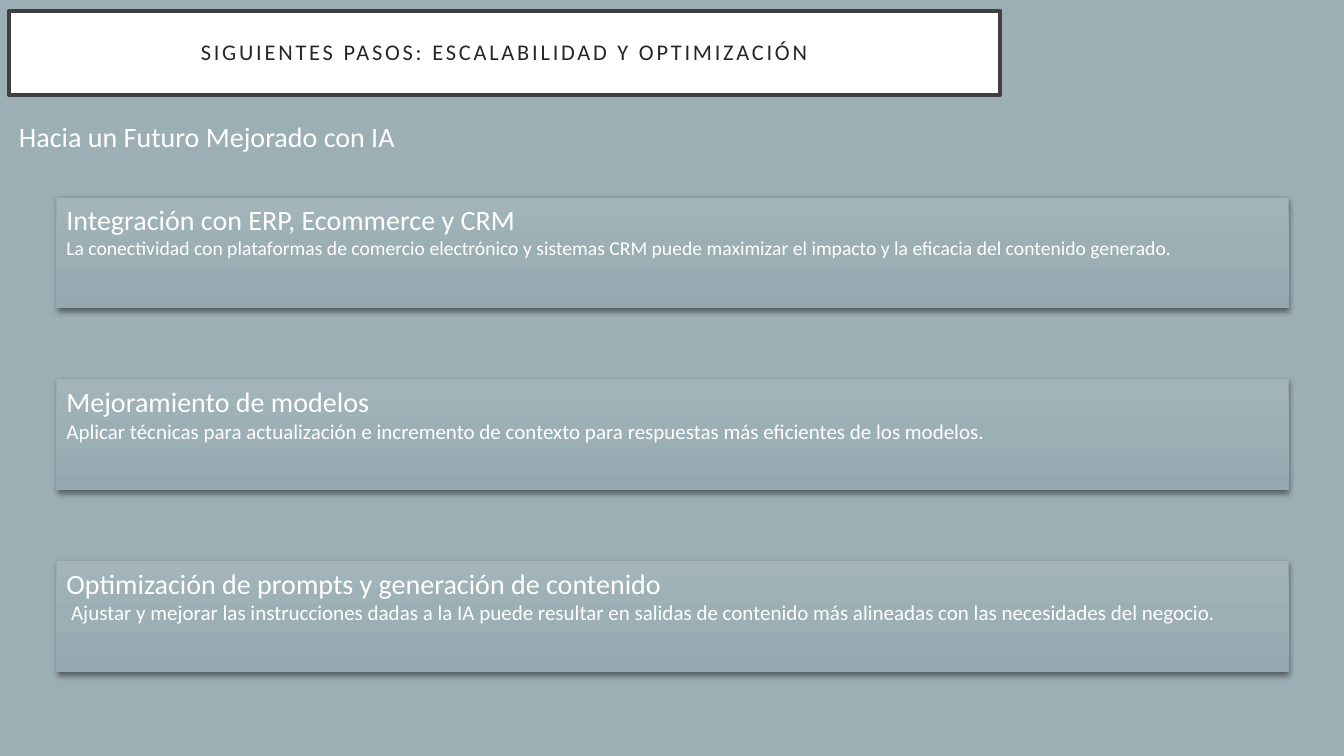
from dataclasses import dataclass

from lxml import etree
from pptx import Presentation
from pptx.dml.color import RGBColor
from pptx.enum.shapes import MSO_SHAPE
from pptx.enum.text import MSO_ANCHOR, PP_ALIGN
from pptx.oxml import parse_xml
from pptx.oxml.ns import nsdecls, qn
from pptx.shapes.autoshape import Shape
from pptx.slide import Slide
from pptx.text.text import TextFrame, _Paragraph, _Run
from pptx.util import Inches, Pt

RECTANGLE = MSO_SHAPE.RECTANGLE
TOP, MIDDLE = MSO_ANCHOR.TOP, MSO_ANCHOR.MIDDLE
LEFT, CENTER = PP_ALIGN.LEFT, PP_ALIGN.CENTER


@dataclass(frozen=True)
class Theme:
    font: str = "Calibri"
    background: str = "9BAFB5"
    white: str = "FFFFFF"
    title_text: str = "262626"
    title_border: str = "404040"
    step_gradient: tuple[str, ...] = ("A3B5BB", "9BAFB5", "93A9AF")
    shadow: str = "000000"
    title_size: float = 16
    heading_size: float = 20


@dataclass(frozen=True)
class Step:
    heading: str
    detail: str
    detail_size: float


THEME = Theme()
STEPS = (
    Step(
        "Integración con ERP, Ecommerce y CRM",
        "La conectividad con plataformas de comercio electrónico y sistemas CRM "
        "puede maximizar el impacto y la eficacia del contenido generado.",
        14,
    ),
    Step(
        "Mejoramiento de modelos",
        "Aplicar técnicas para actualización e incremento de contexto para "
        "respuestas más eficientes de los modelos.",
        15,
    ),
    Step(
        "Optimización de prompts y generación de contenido",
        " Ajustar y mejorar las instrucciones dadas a la IA puede resultar en "
        "salidas de contenido más alineadas con las necesidades del negocio.",
        15,
    ),
)
STEP_LEFT, STEP_WIDTH, STEP_HEIGHT = 0.56, 12.22, 1.1
FIRST_STEP_TOP, STEP_PITCH = 1.96, 1.805


def add_run(paragraph: _Paragraph, text: str, size: float, color: str) -> _Run:
    run = paragraph.add_run()
    run.text = text
    run.font.name = THEME.font
    run.font.size = Pt(size)
    run.font.color.rgb = RGBColor.from_string(color)
    return run


def start_paragraph(frame: TextFrame) -> _Paragraph:
    """Set up a wrapped, top-left frame and return its first paragraph."""
    frame.word_wrap = True
    frame.vertical_anchor = TOP
    paragraph = frame.paragraphs[0]
    paragraph.alignment = LEFT
    paragraph.space_before = Pt(10)
    return paragraph


def add_title(slide: Slide) -> None:
    banner = slide.shapes.add_shape(
        RECTANGLE, Inches(0.09), Inches(0.11), Inches(9.83), Inches(0.83)
    )
    banner.shadow.inherit = False
    banner.fill.solid()
    banner.fill.fore_color.rgb = RGBColor.from_string(THEME.white)
    banner.line.color.rgb = RGBColor.from_string(THEME.title_border)
    banner.line.width = Pt(3)

    frame = banner.text_frame
    frame.word_wrap = True
    frame.vertical_anchor = MIDDLE
    frame.margin_left = frame.margin_right = Inches(0.3)
    frame.margin_top = frame.margin_bottom = Inches(0.2)
    paragraph = frame.paragraphs[0]
    paragraph.alignment = CENTER
    paragraph.line_spacing = 0.9
    title = add_run(
        paragraph,
        "SIGUIENTES PASOS: ESCALABILIDAD Y OPTIMIZACIÓN",
        THEME.title_size,
        THEME.title_text,
    )
    title.font._element.set("spc", "200")


def add_subtitle(slide: Slide) -> None:
    subtitle = slide.shapes.add_textbox(
        Inches(0.09), Inches(1.14), Inches(7.44), Inches(0.53)
    )
    paragraph = start_paragraph(subtitle.text_frame)
    add_run(paragraph, "Hacia un Futuro Mejorado con IA", THEME.heading_size, THEME.white)


def apply_gradient(panel: Shape) -> None:
    """Fill with evenly spaced stops running from top to bottom."""
    last = len(THEME.step_gradient) - 1
    stops = "".join(
        f'<a:gs pos="{100000 * index // last}"><a:srgbClr val="{color}"/></a:gs>'
        for index, color in enumerate(THEME.step_gradient)
    )
    gradient = parse_xml(
        f'<a:gradFill {nsdecls("a")} rotWithShape="1"><a:gsLst>{stops}</a:gsLst>'
        '<a:lin ang="5400000" scaled="0"/></a:gradFill>'
    )
    panel.element.spPr.find(qn("a:prstGeom")).addnext(gradient)


def apply_shadow(panel: Shape) -> None:
    panel.shadow.inherit = False
    effects = panel.element.spPr.find(qn("a:effectLst"))
    shadow = etree.SubElement(
        effects,
        qn("a:outerShdw"),
        blurRad=str(Pt(4.4)),
        dist=str(Pt(1.2)),
        dir="5400000",
        algn="ctr",
        rotWithShape="0",
    )
    color = etree.SubElement(shadow, qn("a:srgbClr"), val=THEME.shadow)
    etree.SubElement(color, qn("a:alpha"), val="45000")


def add_step(slide: Slide, step: Step, top: float) -> None:
    panel = slide.shapes.add_shape(
        RECTANGLE, Inches(STEP_LEFT), Inches(top), Inches(STEP_WIDTH), Inches(STEP_HEIGHT)
    )
    panel.line.fill.background()
    apply_gradient(panel)
    apply_shadow(panel)
    paragraph = start_paragraph(panel.text_frame)
    add_run(paragraph, step.heading, THEME.heading_size, THEME.white)
    paragraph.add_line_break()
    add_run(paragraph, step.detail, step.detail_size, THEME.white)


def main() -> None:
    presentation = Presentation()
    presentation.slide_width = Inches(13.33)
    presentation.slide_height = Inches(7.5)
    slide = presentation.slides.add_slide(presentation.slide_layouts[6])
    slide.background.fill.solid()
    slide.background.fill.fore_color.rgb = RGBColor.from_string(THEME.background)

    add_title(slide)
    add_subtitle(slide)
    for index, step in enumerate(STEPS):
        add_step(slide, step, FIRST_STEP_TOP + index * STEP_PITCH)
    presentation.save("out.pptx")


if __name__ == "__main__":
    main()
